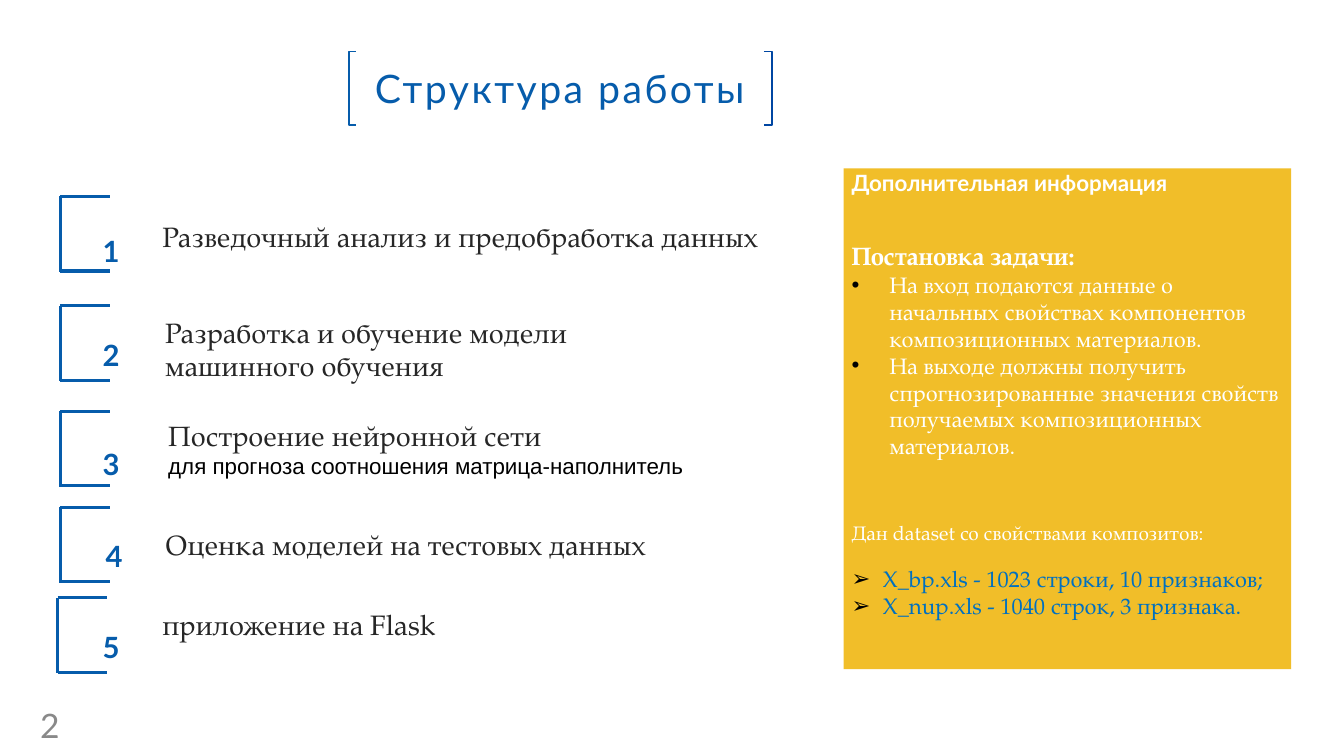
from lxml import etree
from pptx import Presentation
from pptx.dml.color import RGBColor
from pptx.enum.shapes import MSO_CONNECTOR as CONN
from pptx.enum.text import MSO_ANCHOR as ANCHOR, MSO_AUTO_SIZE as AUTO, PP_ALIGN as ALIGN
from pptx.oxml.ns import qn
from pptx.util import Cm, Pt

BLUE, WHITE, DARK = "065CAB", "FFFFFF", "262626"
LATO, PAGELLA = "Lato", "TeX Gyre Pagella"


def color(value):
    return RGBColor.from_string(value)


def add_run(p, text, size, font, hex_color, bold=False):
    r = p.add_run()
    r.text = text
    r.font.size, r.font.name, r.font.bold = Pt(size), font, bold
    r.font.color.rgb = color(hex_color)
    return r


prs = Presentation()
prs.slide_width, prs.slide_height = Cm(33.87), Cm(19.05)
s = prs.slides.add_slide(prs.slide_layouts[1])

# Title between two brackets
title, panel = s.shapes.title, s.placeholders[1]
title.left, title.top, title.width, title.height = Cm(8.79), Cm(1.3), Cm(10.64), Cm(1.85)
tf = title.text_frame
tf.auto_size, tf.vertical_anchor = AUTO.NONE, ANCHOR.MIDDLE
p = tf.paragraphs[0]
p.alignment = ALIGN.CENTER
r = add_run(p, "Структура работы", 28, LATO, BLUE)
r._r.get_or_add_rPr().set("spc", "180")

for tip, edge, line_color in [(8.97, 8.79, BLUE), (19.25, 19.46, "0046A2")]:
    outline = s.shapes.build_freeform(Cm(tip), Cm(1.3))
    outline.add_line_segments(
        [(Cm(edge), Cm(1.3)), (Cm(edge), Cm(3.15)), (Cm(tip), Cm(3.15))], close=False)
    sp = outline.convert_to_shape()
    sp.shadow.inherit = False
    sp.fill.background()
    sp.line.color.rgb = color(line_color)
    sp.line.width = Pt(1.3)

# Numbered steps: bracket x, y; number x, y; text x, y; lines of text
steps = [
    (1.52, 4.95, 2.34, 5.61, 3.84, 5.41,
     [("Разведочный анализ и предобработка данных", 20, PAGELLA, DARK)]),
    (1.52, 7.7, 2.34, 8.23, 3.91, 7.82,
     [("Разработка и обучение модели", 20, PAGELLA, DARK),
      ("машинного обучения", 20, PAGELLA, DARK)]),
    (1.52, 10.36, 2.34, 10.97, 3.99, 10.41,
     [("Построение нейронной сети", 20, PAGELLA, DARK),
      ("для прогноза соотношения матрица-наполнитель", 16, "Arial", "000000")]),
    (1.52, 12.78, 2.41, 13.28, 3.91, 13.18,
     [("Оценка моделей на тестовых данных", 20, PAGELLA, DARK)]),
    (1.45, 15.06, 2.34, 15.57, 3.84, 15.19,
     [("приложение на Flask", 20, PAGELLA, DARK)]),
]
for number, (x, y, num_x, num_y, text_x, text_y, lines) in enumerate(steps, 1):
    for x1, y1, x2, y2 in [(0, 0, 0, 1.9), (0, 0, 1.25, 0), (0, 1.88, 1.25, 1.88)]:
        line = s.shapes.add_connector(CONN.STRAIGHT, Cm(x + x1), Cm(y + y1), Cm(x + x2), Cm(y + y2))
        line.line.color.rgb = color(BLUE)
        line.line.width = Pt(2.25)
        etree.SubElement(line._element.spPr, qn("a:effectLst"))

    tf = s.shapes.add_textbox(Cm(num_x), Cm(num_y), Cm(3), Cm(1.27)).text_frame
    tf.word_wrap = True
    r = add_run(tf.paragraphs[0], str(number), 36, LATO, BLUE, True)
    r._r.get_or_add_rPr().set("baseline", "30000")

    tf = s.shapes.add_textbox(Cm(text_x), Cm(text_y), Cm(17.27), Cm(0.28 + 0.84 * len(lines))).text_frame
    tf.word_wrap = True
    for i, step_line in enumerate(lines):
        p = tf.add_paragraph() if i else tf.paragraphs[0]
        add_run(p, *step_line)

# Information panel
panel.left, panel.top, panel.width, panel.height = Cm(21.26), Cm(4.24), Cm(11.28), Cm(12.62)
panel.fill.solid()
panel.fill.fore_color.rgb = color("F1BE29")
tf = panel.text_frame
tf.word_wrap, tf.auto_size, tf.vertical_anchor = True, AUTO.NONE, ANCHOR.TOP
tf.margin_left = tf.margin_right = Cm(0.2)
tf.margin_top = tf.margin_bottom = Cm(0.1)

# Text, size, font, colour, bold, space before, bullet, indent
notes = [
    ("Дополнительная информация", 16, LATO, WHITE, True, 0, None, 0),
    ("Постановка задачи:", 18, PAGELLA, WHITE, True, 34, None, 0),
    ("На вход подаются данные о начальных свойствах компонентов композиционных материалов.",
     16, PAGELLA, WHITE, False, 0, "•", 0.95),
    ("На выходе должны получить спрогнозированные значения свойств получаемых "
     "композиционных материалов.", 16, PAGELLA, WHITE, False, 0, "•", 0.95),
    ("Дан dataset со свойствами композитов:", 14, PAGELLA, WHITE, False, 46, None, 0),
    ("X_bp.xls - 1023 строки, 10 признаков;", 16, PAGELLA, "0070C0", False, 14.5, "➢", 0.79),
    ("X_nup.xls - 1040 строк, 3 признака.", 16, PAGELLA, "0070C0", False, 0, "➢", 0.79),
]
for i, (text, size, font, text_color, bold, before, bullet, indent) in enumerate(notes):
    p = tf.add_paragraph() if i else tf.paragraphs[0]
    p.alignment = ALIGN.LEFT if bullet else ALIGN.JUSTIFY
    p.line_spacing = 1.0 if bullet else 0.9
    p.space_before = Pt(before)
    pPr = p._p.get_or_add_pPr()
    pPr.set("marL", str(Cm(indent)))
    pPr.set("indent", str(-Cm(indent)))
    if bullet:
        bu_color = etree.SubElement(pPr, qn("a:buClr"))
        etree.SubElement(bu_color, qn("a:srgbClr"), val="000000")
        etree.SubElement(pPr, qn("a:buFont"), typeface="Arial")
        etree.SubElement(pPr, qn("a:buChar"), char=bullet)
    else:
        etree.SubElement(pPr, qn("a:buNone"))
    add_run(p, text, size, font, text_color, bold)

# Page number
tf = s.shapes.add_textbox(Cm(0.76), Cm(17.88), Cm(1.57), Cm(0.76)).text_frame
tf.word_wrap, tf.vertical_anchor = True, ANCHOR.MIDDLE
add_run(tf.paragraphs[0], "2", 24, LATO, "898989")

prs.save("out.pptx")
